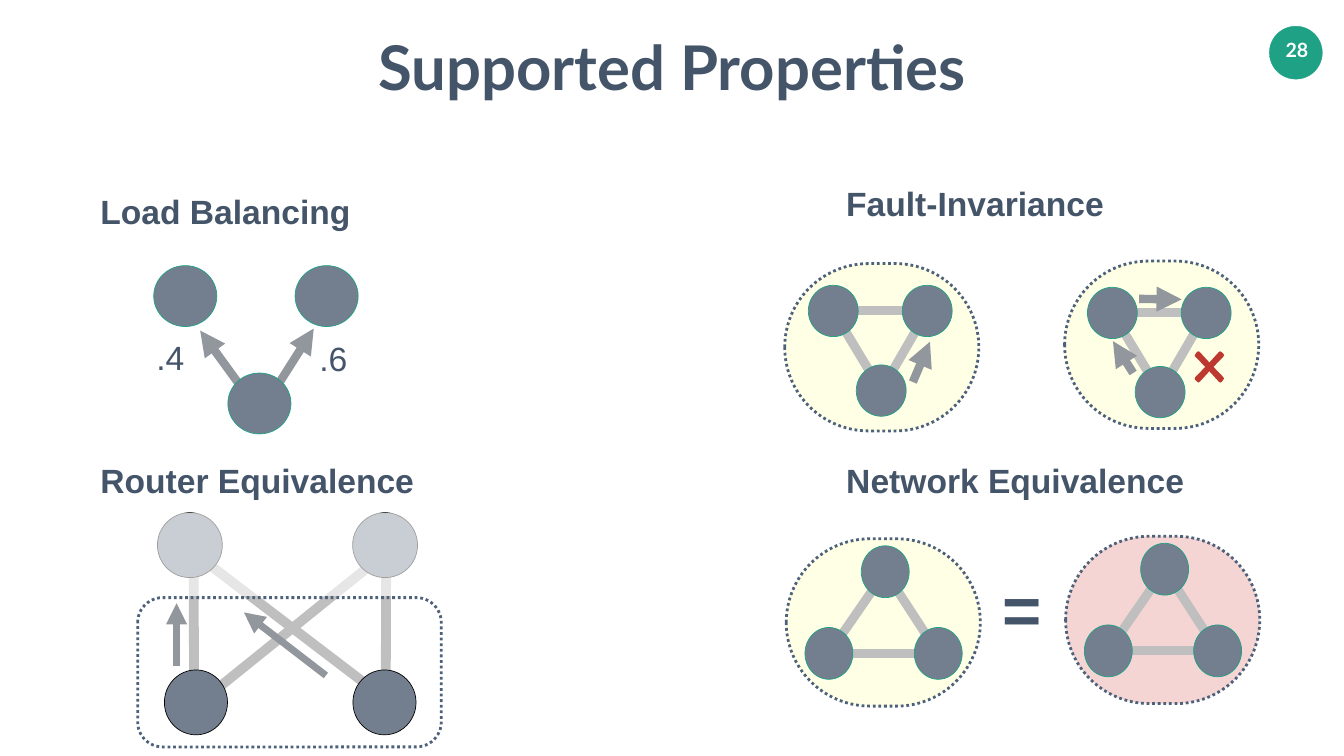
from dataclasses import dataclass

from lxml import etree
from pptx import Presentation
from pptx.dml.color import RGBColor
from pptx.enum.dml import MSO_LINE
from pptx.enum.shapes import MSO_CONNECTOR, MSO_SHAPE
from pptx.enum.text import PP_ALIGN
from pptx.oxml.ns import qn
from pptx.util import Inches, Pt

OVAL, ROUNDED = MSO_SHAPE.OVAL, MSO_SHAPE.ROUNDED_RECTANGLE
STRAIGHT = MSO_CONNECTOR.STRAIGHT
DOTTED = MSO_LINE.ROUND_DOT
LEFT, CENTER = PP_ALIGN.LEFT, PP_ALIGN.CENTER

# The slide is a grid of 533 columns by 300 rows
COLUMNS, ROWS = 533, 300
CELL = Inches(0.05)


@dataclass(frozen=True)
class Theme:
    title_font: str = "Lato"
    body_font: str = "Arial"
    number_size: int = 28
    title_size: int = 88
    body_size: int = 48
    equals_size: int = 96
    ink: str = "445469"
    white: str = "FFFFFF"
    black: str = "000000"
    accent: str = "1EA185"
    node: str = "737F8E"
    link: str = "BFBFBF"
    arrow: str = "92979D"
    border: str = "4E617A"
    yellow: str = "FEFFE5"
    pink: str = "F4D5D3"
    fault: str = "BD392F"


THEME = Theme()


@dataclass(frozen=True)
class Box:
    """An area in grid cells; what lies inside it is placed in percent."""
    col: float
    row: float
    cols: float
    rows: float

    def point(self, x, y):
        return (round((self.col + self.cols * x / 100) * CELL),
                round((self.row + self.rows * y / 100) * CELL))

    def area(self, x, y, width, height):
        return Box(self.col + self.cols * x / 100, self.row + self.rows * y / 100,
                   self.cols * width / 100, self.rows * height / 100)

    def around(self, center, size):
        return self.area(center[0] - size[0] / 2, center[1] - size[1] / 2, *size)

    def frame(self):
        return [round(n * CELL) for n in (self.col, self.row, self.cols, self.rows)]


# ---- Building parts ----
def style(shape, fill=None, line=None, width=1.0, dash=None):
    shape.shadow.inherit = False
    if fill:
        shape.fill.solid()
        shape.fill.fore_color.rgb = RGBColor.from_string(fill)
    else:
        shape.fill.background()
    if line:
        shape.line.color.rgb = RGBColor.from_string(line)
        shape.line.width = Pt(width)
        if dash:
            shape.line.dash_style = dash
    else:
        shape.line.fill.background()
    return shape


def add_shape(slide, kind, box, **look):
    return style(slide.shapes.add_shape(kind, *box.frame()), **look)


def add_text(slide, box, text, size, font=THEME.body_font, color=THEME.ink,
             bold=True, align=LEFT, inset=0.05):
    frame = slide.shapes.add_textbox(*box.frame()).text_frame
    frame.word_wrap = False
    frame.margin_left = frame.margin_right = Inches(inset)
    frame.margin_top = frame.margin_bottom = Inches(inset)
    paragraph = frame.paragraphs[0]
    paragraph.alignment = align
    run = paragraph.add_run()
    run.text = text
    run.font.name, run.font.size, run.font.bold = font, Pt(size), bold
    run.font.color.rgb = RGBColor.from_string(color)


def add_link(slide, box, start, end, width=13, color=THEME.link):
    link = slide.shapes.add_connector(STRAIGHT, *box.point(*start), *box.point(*end))
    link.line.color.rgb = RGBColor.from_string(color)
    link.line.width = Pt(width)
    etree.SubElement(link._element.spPr, qn("a:effectLst"))
    return link


def add_arrow(slide, box, start, end, width=12):
    arrow = add_link(slide, box, start, end, width, THEME.arrow)
    outline = arrow._element.spPr.find(qn("a:ln"))
    etree.SubElement(outline, qn("a:tailEnd"), type="triangle")


def add_nodes(slide, box, centers, size, outline=THEME.accent):
    for center in centers:
        add_shape(slide, OVAL, box.around(center, size), fill=THEME.node, line=outline)


def add_network(slide, box, centers, size, fill):
    """Three linked routers inside a dotted cloud."""
    cloud = add_shape(slide, ROUNDED, box, fill=fill, line=THEME.border, width=4, dash=DOTTED)
    cloud.adjustments[0] = 0.5
    for i, center in enumerate(centers):
        add_link(slide, box, center, centers[i - 1])
    add_nodes(slide, box, centers, size)


def add_cross(slide, box):
    """One arm of the cross, turned four times about the centre."""
    arm = [(14, 0), (47, 32), (50, 37), (47, 42), (42, 48), (37, 50), (33, 48)]
    outline = []
    for _ in range(4):
        outline += [box.point(50 + x, 50 + y) for x, y in arm]
        arm = [(-y, x) for x, y in arm]
    builder = slide.shapes.build_freeform(*outline[0])
    builder.add_line_segments(outline[1:], close=True)
    style(builder.convert_to_shape(), fill=THEME.fault)


# ---- Regions ----
def header(slide, title_box, badge_box):
    add_shape(slide, OVAL, badge_box, fill=THEME.accent, line=THEME.accent, width=0.5)
    add_text(slide, badge_box.area(21, 13, 62, 64), "28", THEME.number_size,
             THEME.title_font, THEME.white, align=CENTER, inset=0.1)
    add_text(slide, title_box, "Supported Properties", THEME.title_size,
             THEME.title_font, align=CENTER)


def load_balancing(slide, box):
    add_arrow(slide, box, (56, 80), (78.3, 37.4))
    add_arrow(slide, box, (49.6, 83.5), (22.7, 38.6))
    add_nodes(slide, box, [(15.4, 18.1), (84.6, 18.1), (51.7, 81.9)], (30.9, 36.2))
    for share, x, y in ((".4", 0, 41), (".6", 79.8, 41.6)):
        add_text(slide, box.area(x, y, 16.3, 27.2), share, THEME.body_size, bold=False)


def router_equivalence(slide, box):
    for start, end in (((18.6, 88.2), (18.4, 6.2)), ((81.7, 81), (81.9, 4.3)),
                       ((20.6, 81), (82.1, 16.8)), ((17.4, 16.1), (81.7, 79.6))):
        add_link(slide, box, start, end, width=14)
    add_nodes(slide, box, [(17.2, 13.9), (81.5, 13.9)], (21.4, 27.7), THEME.black)
    # Translucent veil over the upper routers
    veil = add_shape(slide, ROUNDED, box.area(3.3, 0.2, 90.2, 35.3), fill=THEME.white)
    color = veil._element.spPr.find(qn("a:solidFill"))[0]
    etree.SubElement(color, qn("a:alpha"), val="62000")
    # Compared routers
    add_shape(slide, ROUNDED, box.area(0, 36.3, 100, 63.7),
              line=THEME.border, width=4, dash=DOTTED)
    add_nodes(slide, box, [(19.2, 81), (81.3, 81)], (20.8, 27.7), THEME.black)
    add_arrow(slide, box, (12.8, 65.6), (12.8, 38.7), width=10)
    add_arrow(slide, box, (62, 69.5), (35, 42.6), width=10)


def fault_invariance(slide, healthy, faulty):
    size = (25.7, 30.7)
    add_network(slide, healthy, [(25, 28.3), (73.4, 28.3), (49.7, 75.9)], size, THEME.yellow)
    add_arrow(slide, healthy, (66, 70.8), (74.8, 46.7))
    add_network(slide, faulty, [(24.6, 31), (72.9, 31), (49.2, 78.3)], size, THEME.yellow)
    add_arrow(slide, faulty, (35.3, 66.9), (24.9, 47.9))
    add_arrow(slide, faulty, (38.4, 22.6), (60.3, 22.9))
    add_cross(slide, faulty.area(67, 53.9, 15.1, 18.7))


def network_equivalence(slide, first, second, equals_box):
    for box, fill in ((first, THEME.yellow), (second, THEME.pink)):
        add_network(slide, box, [(22, 68.5), (51, 19.7), (78.3, 68.5)], (24.7, 31), fill)
    add_text(slide, equals_box, "=", THEME.equals_size)


def main():
    deck = Presentation()
    deck.slide_width, deck.slide_height = COLUMNS * CELL, ROWS * CELL
    slide = deck.slides.add_slide(deck.slide_layouts[6])

    header(slide, Box(147.6, 10.6, 237.8, 31.6), Box(503.4, 10.4, 21, 21))
    for heading, col, row, cols in (("Load Balancing", 38.8, 74.8, 102.4),
                                    ("Router Equivalence", 38.8, 181.6, 127.8),
                                    ("Fault-Invariance", 334.6, 71.4, 105.4),
                                    ("Network Equivalence", 334.6, 181.6, 137.6)):
        add_text(slide, Box(col, row, cols, 18.2), heading, THEME.body_size)

    cloud = (77, 66.4)
    load_balancing(slide, Box(61, 105.4, 81, 66.8))
    router_equivalence(slide, Box(54.6, 203.4, 120.4, 93))
    fault_invariance(slide, Box(311.2, 104.6, *cloud), Box(422.2, 103.6, *cloud))
    network_equivalence(slide, Box(311.8, 213.8, *cloud), Box(422.6, 212.8, *cloud),
                        Box(396.4, 224.2, 21.6, 34.4))
    deck.save("out.pptx")


if __name__ == "__main__":
    main()
